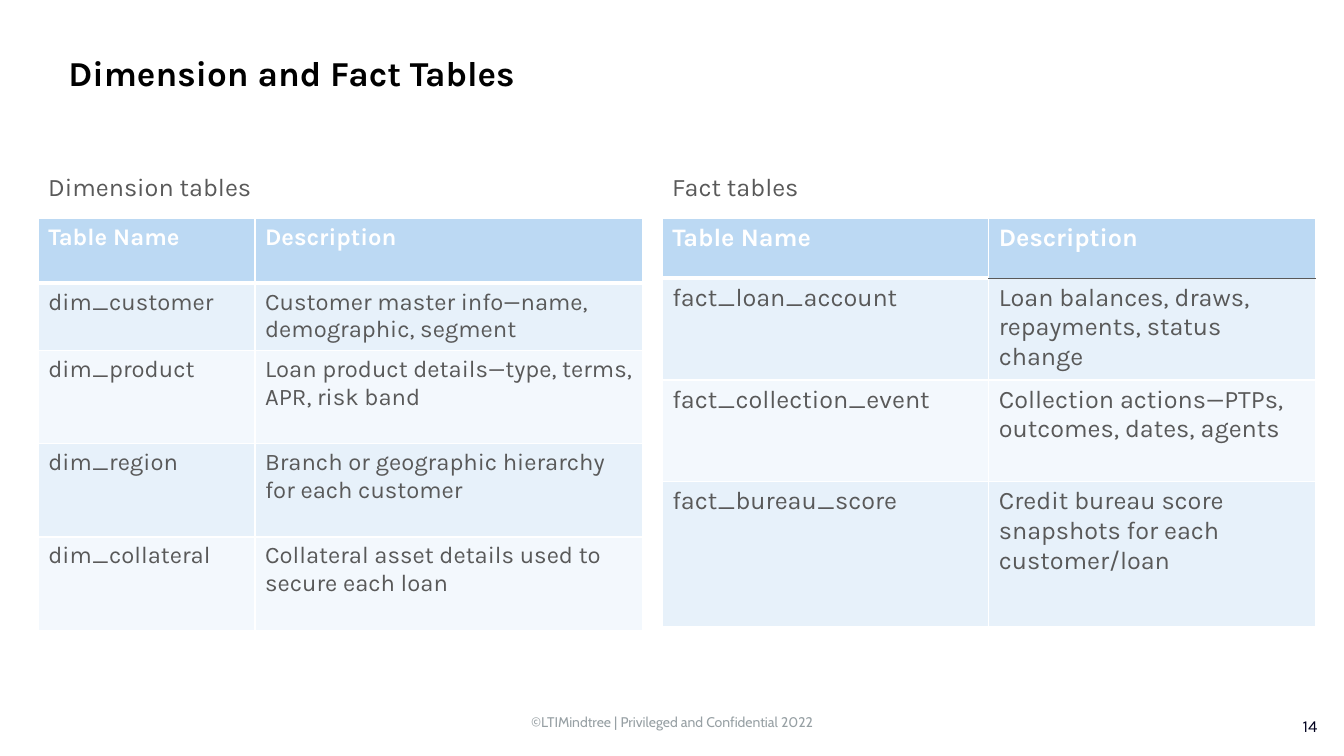
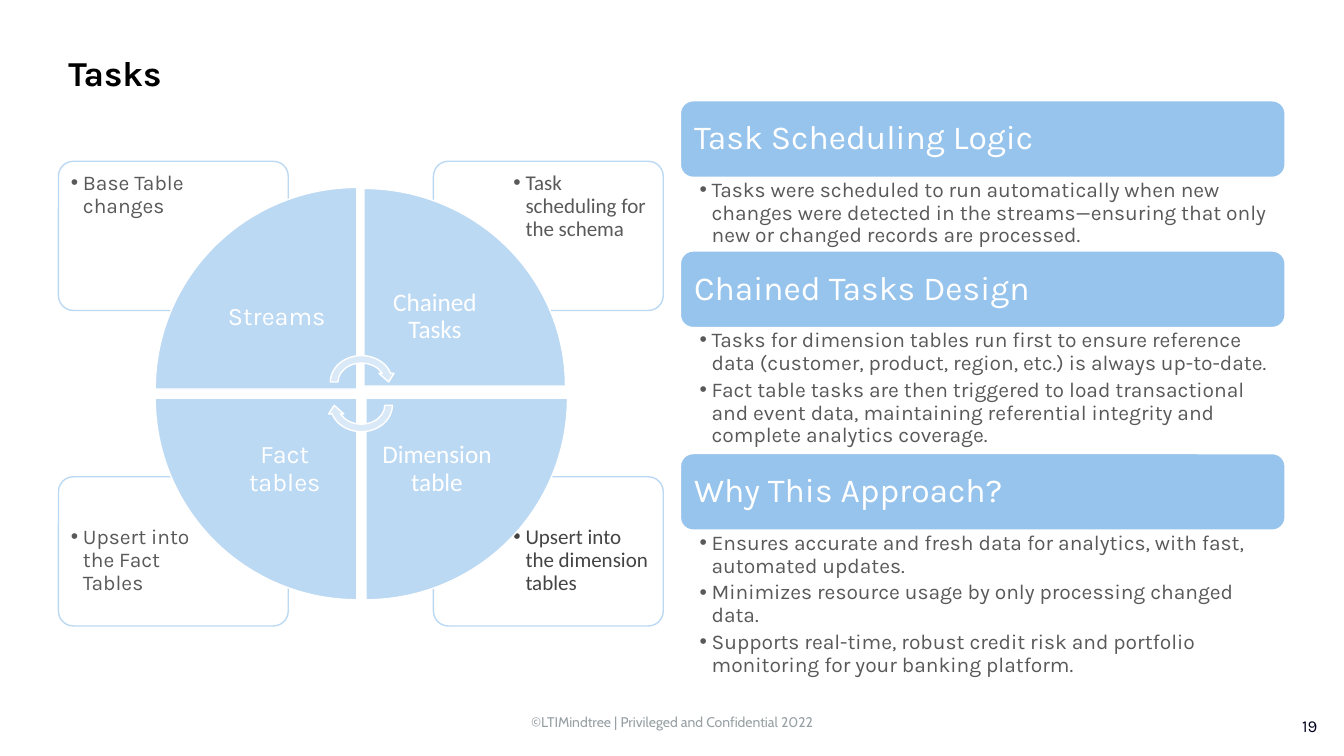
from lxml import etree
from pptx import Presentation
from pptx.dml.color import RGBColor
from pptx.enum.shapes import MSO_SHAPE
from pptx.enum.text import MSO_ANCHOR, PP_ALIGN
from pptx.oxml.ns import qn
from pptx.util import Emu, Pt

LEFT, CENTER, RIGHT = PP_ALIGN.LEFT, PP_ALIGN.CENTER, PP_ALIGN.RIGHT
TOP, MIDDLE = MSO_ANCHOR.TOP, MSO_ANCHOR.MIDDLE
ROUNDED, WEDGE = MSO_SHAPE.ROUNDED_RECTANGLE, MSO_SHAPE.PIE_WEDGE
ARROW = MSO_SHAPE.CIRCULAR_ARROW

COLORS = {
    "white": "FFFFFF", "title": "000000", "text": "595959", "dark text": "444444",
    "footer": "97A0A4", "number": "00001E", "pale": "BCD9F3", "banner": "97C4EC",
    "arrow": "DAE9F8", "odd row": "E7F1FA", "even row": "F3F8FD",
}

# The slide is a grid of 80 columns by 45 rows of square cells.
COLUMNS, ROWS = 80, 45
CELL = 152400
INDENT = 0.72
DEFAULT_MARGINS = (0.6, 0.3, 0.6, 0.3)


def color(name):
    return RGBColor.from_string(COLORS[name])


def add_box(page, place, lines=(), size=18, ink="text", font="Karla", bold=False,
            align=LEFT, anchor=TOP, margins=DEFAULT_MARGINS, spacing=1.0, after=0,
            bullets=False, kind=None, fill="white", outline="white"):
    """Add a text box, or a preset shape if kind is given; place and margins in cells."""
    place = [Emu(round(length * CELL)) for length in place]
    if kind is None:
        box = page.shapes.add_textbox(*place)
    else:
        box = page.shapes.add_shape(kind, *place)
        box.shadow.inherit = False
        box.fill.solid()
        box.fill.fore_color.rgb = color(fill)
        box.line.color.rgb = color(outline)
        box.line.width = Pt(1)
    frame = box.text_frame
    frame.word_wrap = True
    frame.vertical_anchor = anchor
    (frame.margin_left, frame.margin_top,
     frame.margin_right, frame.margin_bottom) = [Emu(round(m * CELL)) for m in margins]
    if not lines:
        return box
    frame.text = "\n".join(lines)
    for para in frame.paragraphs:
        para.alignment = align
        para.line_spacing = spacing
        para.space_after = Pt(after)
        if bullets:
            properties = para._p.get_or_add_pPr()
            properties.set("marL", str(round(INDENT * CELL)))
            properties.set("indent", str(round(-INDENT * CELL)))
            etree.SubElement(properties, qn("a:buFont")).set("typeface", "Arial")
            etree.SubElement(properties, qn("a:buChar")).set("char", "•")
        for span in para.runs:
            span.font.size = Pt(size)
            span.font.name = font
            span.font.bold = bold
            span.font.color.rgb = color(ink)
    return box


deck = Presentation()
deck.slide_width, deck.slide_height = Emu(COLUMNS * CELL), Emu(ROWS * CELL)

# Title and footer of both slides
pages = []
for title, number in (("Dimension and Fact Tables", "14"), ("Tasks", "19")):
    page = deck.slides.add_slide(deck.slide_layouts[6])
    add_box(page, (20, 42.18, 40, 1.6), ["©LTIMindtree | Privileged and Confidential 2022"],
            size=10, ink="footer", font="Cabin", align=CENTER)
    add_box(page, (73.62, 42.24, 5.46, 2.1), [number], size=12, ink="number",
            align=RIGHT, margins=(0.66, 0.36, 0.66, 0.36))
    add_box(page, (3.48, 3.06, 73, 2.9), [title], size=25, ink="title", bold=True, spacing=0.9)
    pages.append(page)
tables_page, tasks_page = pages

# Slide 1: two tables with captions
HEADER = ("Table Name", "Description")
TABLES = [
    {"caption": "Dimension tables", "left": 2.28, "size": 17, "ruled": False,
     "widths": (12.9, 23.1), "heights": (3.84, 3.84, 5.55, 5.55, 5.55),
     "rows": [HEADER,
              ("dim_customer", "Customer master info—name, demographic, segment"),
              ("dim_product", "Loan product details—type, terms, APR, risk band"),
              ("dim_region", "Branch or geographic hierarchy for each customer"),
              ("dim_collateral", "Collateral asset details used to secure each loan")]},
    {"caption": "Fact tables", "left": 39.42, "size": 18, "ruled": True,
     "widths": (19.44, 19.44), "heights": (3.54, 6.06, 6.06, 8.64),
     "rows": [HEADER,
              ("fact_loan_account", "Loan balances, draws, repayments, status change"),
              ("fact_collection_event", "Collection actions—PTPs, outcomes, dates, agents"),
              ("fact_bureau_score", "Credit bureau score snapshots for each customer/loan")]},
]
for entry in TABLES:
    widths, heights, rows = entry["widths"], entry["heights"], entry["rows"]
    add_box(tables_page, (entry["left"], 9.9, 24.6, 2.4), [entry["caption"]])
    place = (entry["left"], 13.02, sum(widths), sum(heights))
    table = tables_page.shapes.add_table(
        len(rows), len(widths), *[Emu(round(length * CELL)) for length in place]).table
    for column, width in zip(table.columns, widths):
        column.width = Emu(round(width * CELL))
    for r, (height, texts) in enumerate(zip(heights, rows)):
        table.rows[r].height = Emu(round(height * CELL))
        for c, text in enumerate(texts):
            cell = table.cell(r, c)
            borders = {edge: ("white", 1) for edge in ("lnL", "lnR", "lnT", "lnB")}
            if r < 2:
                ruled = entry["ruled"] and c == 1
                borders["lnT" if r else "lnB"] = ("text", 1) if ruled else ("white", 3)
            for edge, (ink, weight) in borders.items():
                line = etree.SubElement(cell._tc.get_or_add_tcPr(), qn("a:" + edge))
                line.set("w", str(Pt(weight)))
                solid = etree.SubElement(line, qn("a:solidFill"))
                etree.SubElement(solid, qn("a:srgbClr")).set("val", COLORS[ink])
            cell.fill.solid()
            row_fill = "odd row" if r % 2 else "even row"
            cell.fill.fore_color.rgb = color(row_fill if r else "pale")
            cell.text_frame.text = text
            span = cell.text_frame.paragraphs[0].runs[0]
            span.font.size = Pt(entry["size"])
            span.font.name = "Karla"
            span.font.bold = r == 0
            span.font.color.rgb = color("text" if r else "white")

# Slide 2, left: callouts behind a wheel of four wedges
WIDE, NARROW = 4.5, 0.48
CALLOUTS = [
    (1, 1, "Upsert into the dimension tables", "Calibri", "dark text"),
    (0, 1, "Upsert into the Fact Tables", "Karla", "text"),
    (1, 0, "Task scheduling for the schema", "Calibri", "text"),
    (0, 0, "Base Table changes", "Karla", "text"),
]
for column, row, text, font, ink in CALLOUTS:
    margins = (WIDE if column else NARROW, 2.7 if row else 0.42,
               NARROW if column else WIDE, NARROW)
    callout = add_box(tasks_page, (3.48 + column * 22.32, 9.6 + row * 18.78, 13.68, 8.88),
                      [text], size=15, ink=ink, font=font, margins=margins, spacing=0.9,
                      bullets=True, kind=ROUNDED, outline="pale")
    callout.adjustments[0] = 0.1

LABEL = 8.46
WEDGES = [
    ("Streams", "Karla", (9.24, 11.16, 12, 12), (12.24, 14.64)),
    ("Chained Tasks", "Calibri", (21.78, 11.1, 11.76, 12), (21.66, 14.64)),
    ("Dimension table", "Calibri", (21.78, 23.7, 12, 12), (21.78, 23.7)),
    ("Fact tables", "Karla", (9.24, 23.7, 12, 12), (12.72, 23.7)),
]
for turn, (text, font, place, corner) in enumerate(WEDGES):
    wedge = add_box(tasks_page, place, kind=WEDGE, fill="pale")
    wedge.rotation = turn * 90
    add_box(tasks_page, (*corner, LABEL, LABEL), [text], ink="white", font=font,
            align=CENTER, anchor=MIDDLE, margins=(0.84,) * 4, spacing=0.9)
for top, angle in ((20.94, 0), (22.32, 180)):
    arrow = add_box(tasks_page, (19.44, top, 4.14, 3.6), kind=ARROW, fill="arrow")
    arrow.rotation = angle

# Slide 2, right: banners stacked with their bullets
BANNER = 4.56
SECTIONS = [
    ("Task Scheduling Logic", 4.38, [
        "Tasks were scheduled to run automatically when new changes were detected in the "
        "streams—ensuring that only new or changed records are processed."]),
    ("Chained Tasks Design", 7.5, [
        "Tasks for dimension tables run first to ensure reference data (customer, product, "
        "region, etc.) is always up-to-date.",
        "Fact table tasks are then triggered to load transactional and event data, "
        "maintaining referential integrity and complete analytics coverage."]),
    ("Why This Approach?", 7.8, [
        "Ensures accurate and fresh data for analytics, with fast, automated updates.",
        "Minimizes resource usage by only processing changed data.",
        "Supports real-time, robust credit risk and portfolio monitoring for your "
        "banking platform."]),
]
top = 6
for heading, height, points in SECTIONS:
    add_box(tasks_page, (40.5, top, 36, BANNER), [heading], size=24, ink="white",
            anchor=MIDDLE, margins=(0.6,) * 4, spacing=0.9, kind=ROUNDED, fill="banner")
    add_box(tasks_page, (40.5, top + BANNER, 36, height), points, size=15,
            margins=(1.14, 0.12, 0.72, 0.12), spacing=0.9, after=3, bullets=True)
    top += BANNER + height

deck.save("out.pptx")
